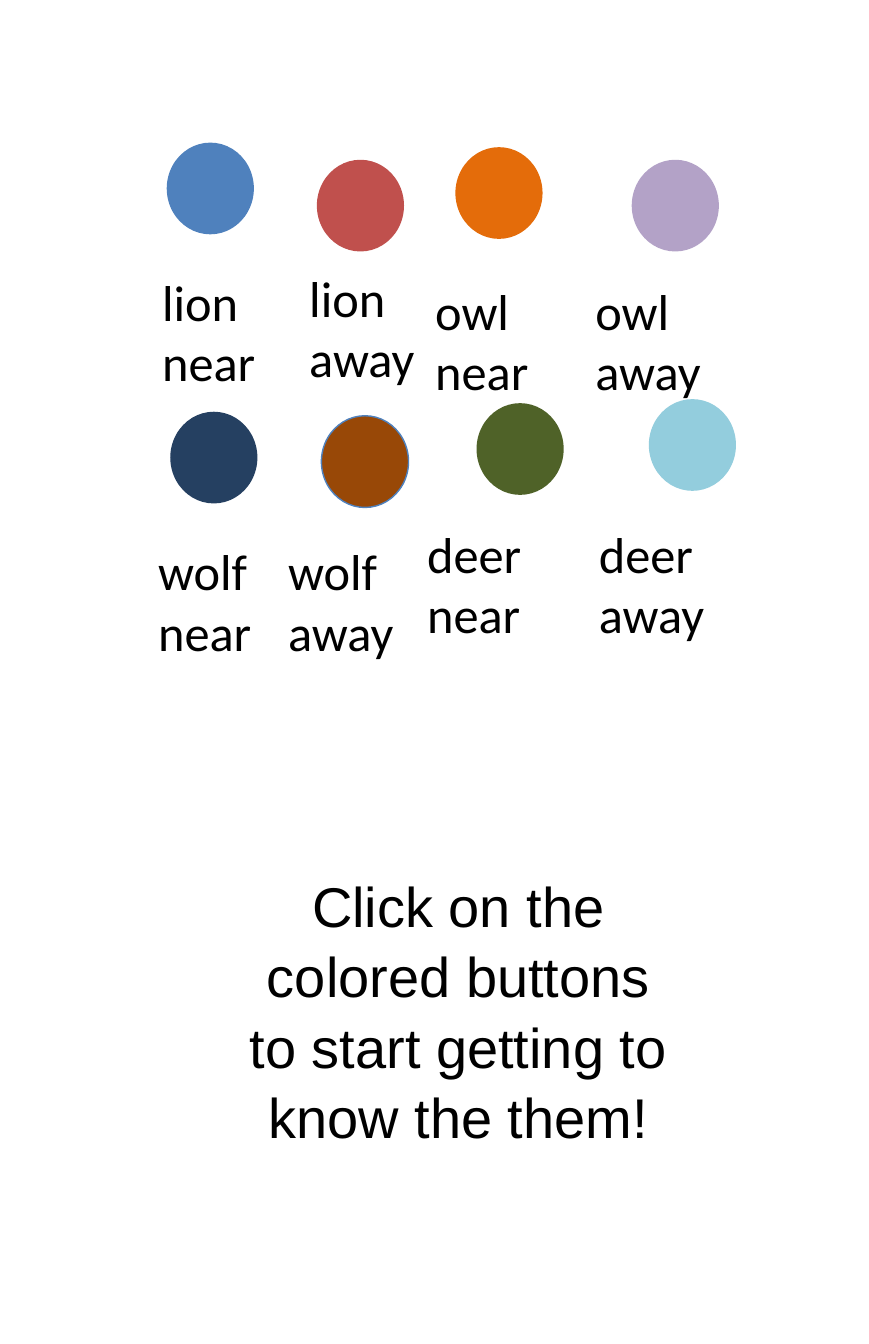
import dataclasses

import pptx
import pptx.dml.color
import pptx.enum.shapes
import pptx.enum.text
import pptx.util

Inches = pptx.util.Inches
Align = pptx.enum.text.PP_ALIGN


@dataclasses.dataclass(frozen=True)
class Theme:
    """Colours, fonts and type sizes of the slide."""
    ink: str = "000000"
    edge: str = "4F81BD"
    fills: tuple = ("4F81BD", "C0504D", "E46C0A", "B3A2C7",
                    "254061", "984807", "4F6228", "93CDDD")
    head: str = "Arial"
    body: str = "Calibri"
    large: int = 80
    small: int = 72


THEME = Theme()

BUTTONS = [
    (3.31, 2.83, 3.12, 5.33, "lion near"),
    (6.29, 3.17, 6.04, 5.25, "lion\naway"),
    (9.04, 2.92, 8.54, 5.5, "owl\nnear"),
    (12.54, 3.17, 11.72, 5.5, "owl\naway"),
    (3.38, 8.17, 3.04, 10.67, "wolf\nnear"),
    (6.38, 8.25, 5.62, 10.67, "wolf\naway"),
    (9.46, 8, 8.38, 10.33, "deer\nnear"),
    (12.88, 7.92, 11.79, 10.33, "deer\naway"),
]
EDGED = "wolf\naway"


def rgb(code):
    """Turn a hex code into a colour."""
    return pptx.dml.color.RGBColor.from_string(code)


def write(shape, text, font=THEME.body, size=THEME.small, align=Align.LEFT,
          space=1.0):
    """Fill a shape with text in the given format."""
    frame = shape.text_frame
    frame.word_wrap = True
    frame.auto_size = pptx.enum.text.MSO_AUTO_SIZE.SHAPE_TO_FIT_TEXT
    frame.vertical_anchor = pptx.enum.text.MSO_ANCHOR.TOP
    frame.text = text
    for para in frame.paragraphs:
        para.alignment = align
        para.line_spacing = space
        for run in para.runs:
            run.font.name = font
            run.font.size = pptx.util.Pt(size)
            run.font.color.rgb = rgb(THEME.ink)


def place(shape, left, top, width, height):
    """Move and size a shape in inches."""
    shape.left, shape.top = Inches(left), Inches(top)
    shape.width, shape.height = Inches(width), Inches(height)


def add_dot(slide, left, top, fill, edge=None):
    """Draw one round button."""
    dot = slide.shapes.add_shape(
        pptx.enum.shapes.MSO_SHAPE.OVAL,
        Inches(left), Inches(top), Inches(1.73), Inches(1.82))
    dot.shadow.inherit = False
    dot.fill.solid()
    dot.fill.fore_color.rgb = rgb(fill)
    if edge:
        dot.line.color.rgb = rgb(edge)
        dot.line.width = pptx.util.Pt(2)
    else:
        dot.line.fill.background()


def add_label(slide, left, top, text):
    """Add the name of one button."""
    box = slide.shapes.add_textbox(
        Inches(left), Inches(top), Inches(2.5), Inches(2.52))
    write(box, text)


def main():
    """Build and save the slide."""
    deck = pptx.Presentation()
    deck.slide_width, deck.slide_height = Inches(17.25), Inches(26.67)
    slide = deck.slides.add_slide(deck.slide_layouts.get_by_name("Title Only"))
    title = slide.shapes.title
    place(title, 4.79, 17.17, 8.62, 6.83)
    write(title,
          "Click on the colored buttons to start getting to know the them!",
          font=THEME.head, size=THEME.large, align=Align.CENTER, space=1.05)
    for button, fill in zip(BUTTONS, THEME.fills):
        left, top, _, _, text = button
        add_dot(slide, left, top, fill, THEME.edge if text == EDGED else None)
    for _, _, left, top, text in BUTTONS:
        add_label(slide, left, top, text)
    deck.save("out.pptx")


if __name__ == "__main__":
    main()
